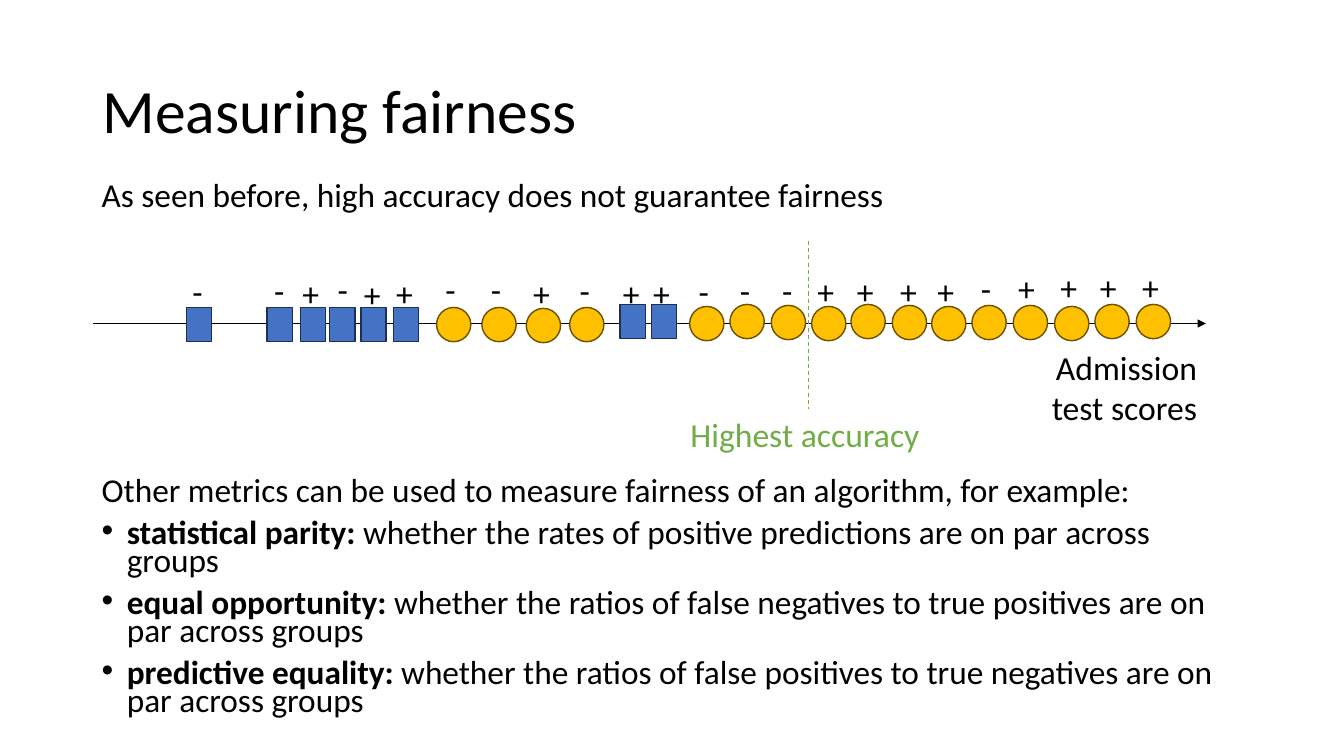
from lxml import etree
from pptx import Presentation
from pptx.dml.color import RGBColor
from pptx.enum.dml import MSO_LINE
from pptx.enum.shapes import MSO_CONNECTOR, MSO_SHAPE
from pptx.enum.text import MSO_ANCHOR, PP_ALIGN
from pptx.oxml.ns import qn
from pptx.util import Inches, Pt

# Content
TITLE = "Measuring fairness"
INTRO = "As seen before, high accuracy does not guarantee fairness"
METRICS_LEAD = "Other metrics can be used to measure fairness of an algorithm, for example:"
METRICS = [
    ("statistical parity: ", "whether the rates of positive predictions are on par across groups"),
    ("equal opportunity: ", "whether the ratios of false negatives to true positives are on par across groups"),
    ("predictive equality: ", "whether the ratios of false positives to true negatives are on par across groups"),
]
AXIS_LABEL = "Admission test scores"
THRESHOLD_LABEL = "Highest accuracy"

# Applicants by score: group, left, top, outcome, outcome left, outcome top
APPLICANTS = [
    ("square", 1.85, 3.05, "-", 1.81, 2.64),
    ("square", 2.65, 3.05, "-", 2.62, 2.63),
    ("square", 2.98, 3.05, "+", 2.90, 2.66),
    ("square", 3.27, 3.05, "-", 3.25, 2.62),
    ("square", 3.58, 3.05, "+", 3.51, 2.67),
    ("square", 3.90, 3.05, "+", 3.83, 2.66),
    ("circle", 4.33, 3.05, "-", 4.32, 2.62),
    ("circle", 4.78, 3.05, "-", 4.77, 2.62),
    ("circle", 5.22, 3.06, "+", 5.19, 2.66),
    ("circle", 5.65, 3.05, "-", 5.65, 2.63),
    ("square", 6.15, 3.02, "+", 6.08, 2.66),
    ("square", 6.46, 3.02, "+", 6.38, 2.66),
    ("circle", 6.84, 3.04, "-", 6.83, 2.64),
    ("circle", 7.24, 3.02, "-", 7.24, 2.63),
    ("circle", 7.65, 3.03, "-", 7.66, 2.63),
    ("circle", 8.05, 3.04, "+", 8.01, 2.64),
    ("circle", 8.44, 3.02, "+", 8.40, 2.64),
    ("circle", 8.85, 3.03, "+", 8.83, 2.64),
    ("circle", 9.24, 3.04, "+", 9.20, 2.64),
    ("circle", 9.64, 3.03, "-", 9.63, 2.61),
    ("circle", 10.05, 3.03, "+", 10.00, 2.61),
    ("circle", 10.46, 3.04, "+", 10.42, 2.60),
    ("circle", 10.86, 3.02, "+", 10.81, 2.60),
    ("circle", 11.27, 3.02, "+", 11.23, 2.60),
]

COLORS = {
    "text": "000000", "accent": "70AD47",
    "square": "4472C4", "square_edge": "1C3052",
    "circle": "FFC000", "circle_edge": "6B5100",
}
GROUP_SHAPES = {"square": (MSO_SHAPE.RECTANGLE, 0.25), "circle": (MSO_SHAPE.OVAL, 0.34)}
MARKER_HEIGHT = 0.34
OUTCOME_WIDTHS = {"+": 0.37, "-": 0.31}
FONT = "Calibri"
BODY_SIZE = 23.8
LABEL_SIZE = 24

presentation = Presentation()
presentation.slide_width, presentation.slide_height = Inches(13.33), Inches(7.5)
slide = presentation.slides.add_slide(presentation.slide_layouts[6])


def color(name):
    return RGBColor.from_string(COLORS[name])


def add_run(paragraph, text, size, color_name="text", bold=False):
    run = paragraph.add_run()
    run.text = text
    run.font.name, run.font.size, run.font.bold = FONT, Pt(size), bold
    run.font.color.rgb = color(color_name)


def add_frame(left, top, width, height):
    frame = slide.shapes.add_textbox(*map(Inches, (left, top, width, height))).text_frame
    frame.word_wrap = True
    return frame


def add_label(text, box, size=LABEL_SIZE, color_name="text", spacing=None):
    frame = add_frame(*box)
    paragraph = frame.paragraphs[0]
    paragraph.line_spacing = spacing
    add_run(paragraph, text, size, color_name)
    return frame


def add_bullet(paragraph):
    properties = paragraph._p.get_or_add_pPr()
    properties.set("marL", str(Inches(0.25)))
    properties.set("indent", str(Inches(-0.25)))
    etree.SubElement(properties, qn("a:buFont")).set("typeface", "Arial")
    etree.SubElement(properties, qn("a:buChar")).set("char", "•")


def add_line(start, end, color_name, width):
    connector = slide.shapes.add_connector(MSO_CONNECTOR.STRAIGHT, *map(Inches, start + end))
    connector.line.color.rgb = color(color_name)
    connector.line.width = Pt(width)
    etree.SubElement(connector._element.spPr, qn("a:effectLst"))
    return connector.line


# Title and introduction
title = add_label(TITLE, (0.92, 0.4, 11.5, 1.45), 44, spacing=0.9)
title.vertical_anchor = MSO_ANCHOR.MIDDLE
add_label(INTRO, (0.91, 1.79, 11.5, 0.5), BODY_SIZE, spacing=0.7)

# Fairness metrics
metrics = add_label(METRICS_LEAD, (0.91, 4.71, 11.5, 2.58), BODY_SIZE, spacing=0.7)
for name, meaning in METRICS:
    paragraph = metrics.add_paragraph()
    paragraph.line_spacing, paragraph.space_before = 0.7, Pt(10)
    add_bullet(paragraph)
    add_run(paragraph, name, BODY_SIZE, bold=True)
    add_run(paragraph, meaning, BODY_SIZE)

# Score axis
axis = add_line((0.92, 3.21), (11.96, 3.21), "text", 1)
etree.SubElement(axis._get_or_add_ln(), qn("a:tailEnd")).set("type", "triangle")
axis_label = add_label(AXIS_LABEL, (9.83, 3.39, 2.14, 0.91))
axis_label.paragraphs[0].alignment = PP_ALIGN.RIGHT

# Applicants
for group, left, top, *_ in APPLICANTS:
    preset, width = GROUP_SHAPES[group]
    marker = slide.shapes.add_shape(preset, *map(Inches, (left, top, width, MARKER_HEIGHT)))
    marker.shadow.inherit = False
    marker.fill.solid()
    marker.fill.fore_color.rgb = color(group)
    marker.line.color.rgb = color(group + "_edge")
    marker.line.width = Pt(1)

# Outcomes
for *_, outcome, left, top in APPLICANTS:
    add_label(outcome, (left, top, OUTCOME_WIDTHS[outcome], 0.5))

# Accuracy threshold
threshold = add_line((8.02, 2.39), (8.02, 4.06), "accent", 0.75)
threshold.dash_style = MSO_LINE.DASH
add_label(THRESHOLD_LABEL, (6.75, 4.06, 2.5, 0.5), color_name="accent")

presentation.save("out.pptx")
